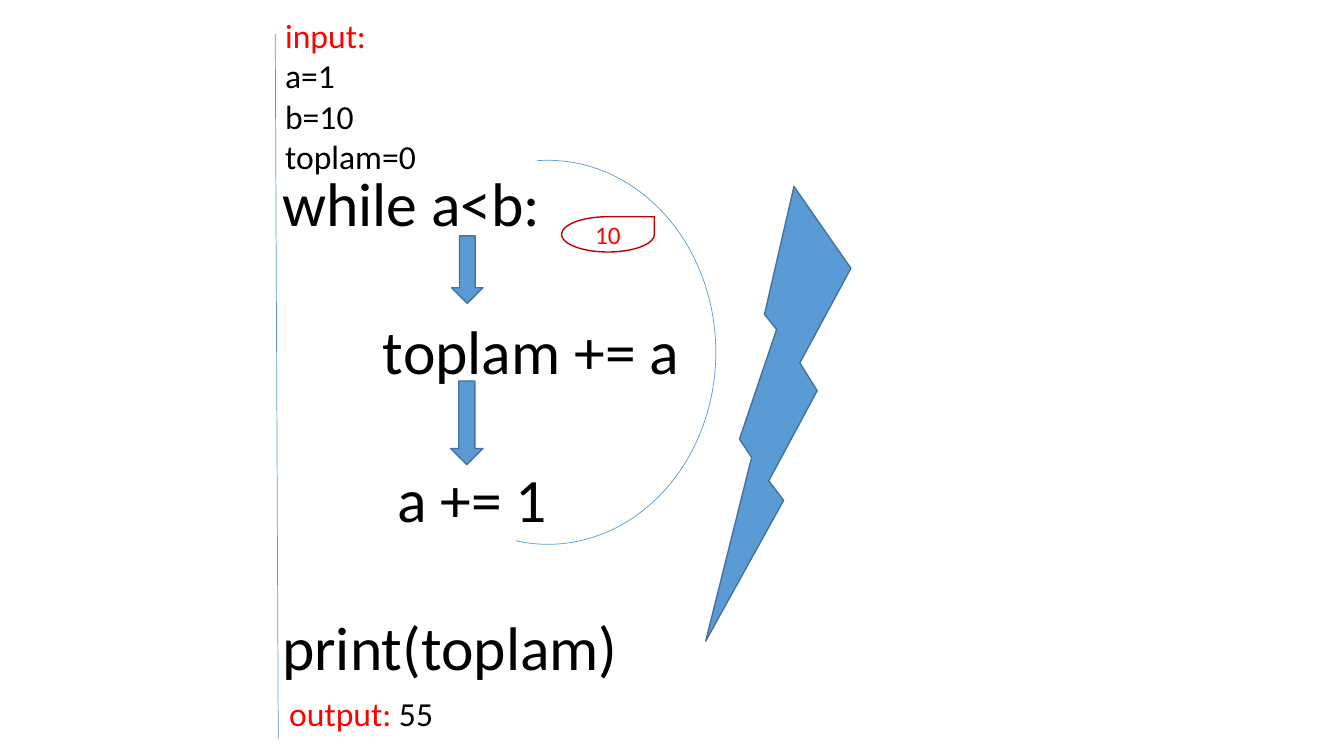
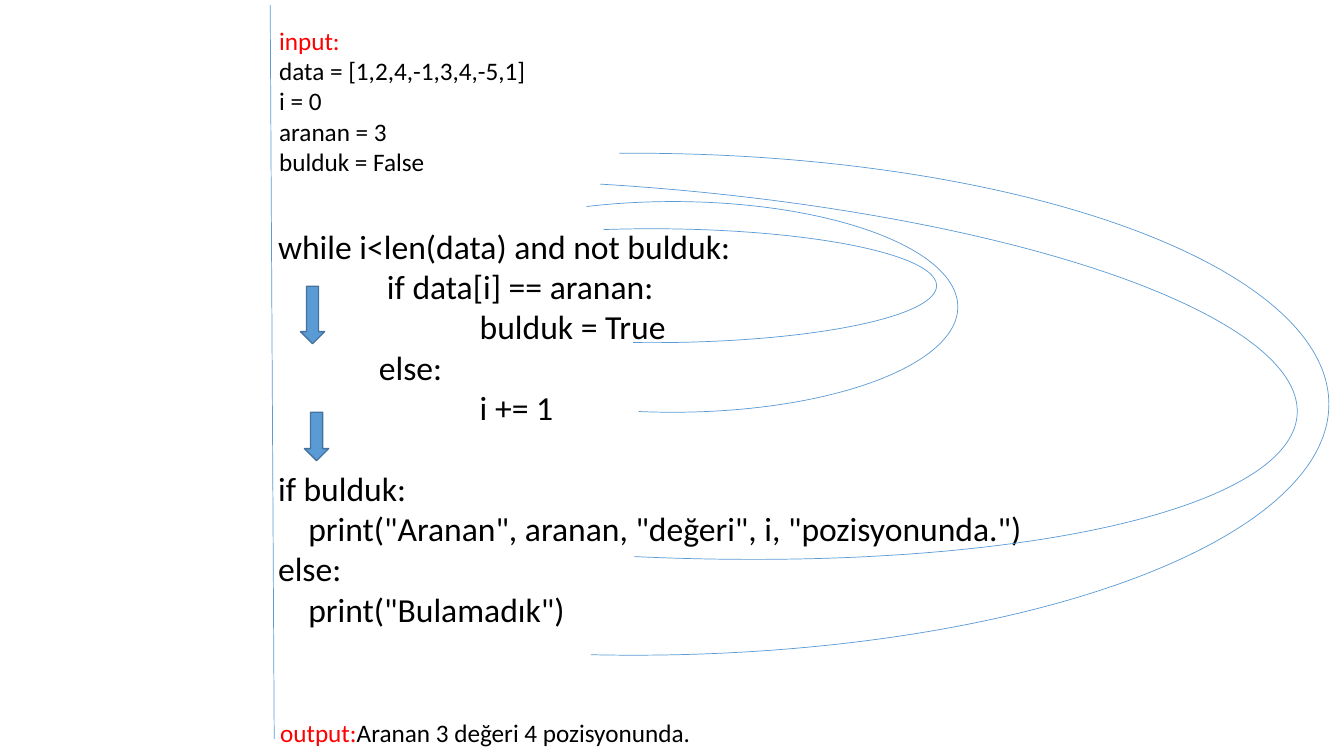
from dataclasses import dataclass

from lxml.etree import SubElement
from pptx import Presentation
from pptx.dml.color import RGBColor
from pptx.enum.shapes import MSO_CONNECTOR, MSO_SHAPE as Preset
from pptx.enum.text import MSO_ANCHOR, PP_ALIGN
from pptx.oxml.ns import qn
from pptx.shapes.autoshape import Shape
from pptx.slide import Slide
from pptx.text.text import TextFrame
from pptx.util import Inches, Pt

BLUE = RGBColor(0x5B, 0x9B, 0xD5)
DARK_BLUE = RGBColor(0x43, 0x73, 0x9E)
RED = RGBColor(0xFF, 0x00, 0x00)
DARK_RED = RGBColor(0xC0, 0x00, 0x00)
BLACK = RGBColor(0x00, 0x00, 0x00)
WHITE = RGBColor(0xFF, 0xFF, 0xFF)
FONT = "Calibri"
LINE_PITCH = 1.2


@dataclass(frozen=True)
class Area:
    """A rectangle on the page, in inches."""

    left: float
    top: float
    width: float
    height: float


@dataclass(frozen=True)
class CodeLine:
    """A line of code with its indent in inches and the empty lines above it."""

    text: str
    indent: float = 0
    lines_above: int = 0


@dataclass(frozen=True)
class FlowArc:
    """A curve that links two lines of code."""

    area: Area
    start: float
    end: float
    rotation: float = 0


@dataclass(frozen=True)
class Trace:
    """One program with its input, its output and its flow marks."""

    code: list[CodeLine]
    code_area: Area
    code_size: int
    inputs: list[str]
    input_area: Area
    output: str
    output_area: Area
    note_size: int
    margin_line: tuple[float, float, float, float]
    arcs: list[FlowArc]
    arrows: list[Area]


SUM_TRACE = Trace(
    code=[
        CodeLine("while a<b:"),
        CodeLine("toplam += a", 1, 1),
        CodeLine("a += 1", 1.14, 1),
        CodeLine("print(toplam)", 0, 1),
    ],
    code_area=Area(2.7, 1.59, 7.08, 5.28),
    code_size=44,
    inputs=["a=1", "b=10", "toplam=0"],
    input_area=Area(2.73, 0.1, 6.86, 2.12),
    output=" 55",
    output_area=Area(2.77, 6.83, 6.67, 0.5),
    note_size=24,
    margin_line=(2.73, 0.34, 2.76, 7.33),
    arcs=[FlowArc(Area(3.77, 1.59, 3.33, 3.81), 160.04, 59.81)],
    arrows=[Area(4.48, 2.34, 0.31, 0.67), Area(4.47, 3.78, 0.32, 0.83)],
)

SEARCH_TRACE = Trace(
    code=[
        CodeLine("while i<len(data) and not bulduk:"),
        CodeLine("if data[i] == aranan:", 1.08),
        CodeLine("bulduk = True", 2),
        CodeLine("else:", 1),
        CodeLine("i += 1", 2),
        CodeLine("if bulduk:", 0, 1),
        CodeLine('print("Aranan", aranan, "değeri", i, "pozisyonunda.")', 0.3),
        CodeLine("else:"),
        CodeLine('print("Bulamadık")', 0.3),
    ],
    code_area=Area(2.66, 2.19, 8.46, 4.14),
    code_size=24,
    inputs=["data = [1,2,4,-1,3,4,-5,1]", "i = 0", "aranan = 3", "bulduk = False"],
    input_area=Area(2.67, 0.2, 6.86, 1.62),
    output="Aranan 3 değeri 4 pozisyonunda.",
    output_area=Area(2.68, 7.07, 5, 0.4),
    note_size=18,
    margin_line=(2.68, 0.05, 2.72, 7.33),
    arcs=[
        FlowArc(Area(-0.61, 1.52, 13.79, 4.98), 160.04, 59.81),
        FlowArc(Area(-1, 1.83, 13.88, 3.67), 160.04, 45.32, 3.7),
        FlowArc(Area(3.64, 2.27, 5.65, 1.13), 137.59, 64.93),
        FlowArc(Area(3.85, 2, 5.65, 2.09), 137.59, 64.93),
    ],
    arrows=[Area(2.98, 2.84, 0.24, 0.57), Area(3.02, 4.09, 0.24, 0.48)],
)


def place(area: Area) -> tuple[Inches, Inches, Inches, Inches]:
    """Turn an area into lengths."""
    return Inches(area.left), Inches(area.top), Inches(area.width), Inches(area.height)


def add_span(para, text: str, size: int, color: RGBColor) -> None:
    """Append one formatted run."""
    span = para.add_run()
    span.text = text
    span.font.name = FONT
    span.font.size = Pt(size)
    span.font.color.rgb = color


def add_text_box(page: Slide, area: Area) -> TextFrame:
    """Add a wrapping text box and return its frame."""
    frame = page.shapes.add_textbox(*place(area)).text_frame
    frame.word_wrap = True
    return frame


def add_code(page: Slide, trace: Trace) -> None:
    """Write the program with its indents and gaps."""
    frame = add_text_box(page, trace.code_area)
    for index, line in enumerate(trace.code):
        para = frame.add_paragraph() if index else frame.paragraphs[0]
        para.space_before = Pt(line.lines_above * trace.code_size * LINE_PITCH)
        para._p.get_or_add_pPr().set("marL", str(Inches(line.indent)))
        add_span(para, line.text, trace.code_size, BLACK)


def add_notes_around_code(page: Slide, trace: Trace) -> None:
    """Write the input above and the output below the program."""
    frame = add_text_box(page, trace.input_area)
    add_span(frame.paragraphs[0], "input:", trace.note_size, RED)
    for text in trace.inputs:
        add_span(frame.add_paragraph(), text, trace.note_size, BLACK)
    para = add_text_box(page, trace.output_area).paragraphs[0]
    add_span(para, "output:", trace.note_size, RED)
    add_span(para, trace.output, trace.note_size, BLACK)


def add_preset(
    page: Slide,
    preset: Preset,
    area: Area,
    fill: RGBColor | None = BLUE,
    line: RGBColor = DARK_BLUE,
    width: float = 1,
) -> Shape:
    """Add a flat preset shape."""
    shape = page.shapes.add_shape(preset, *place(area))
    shape.shadow.inherit = False
    if fill is None:
        shape.fill.background()
    else:
        shape.fill.solid()
        shape.fill.fore_color.rgb = fill
    shape.line.color.rgb = line
    shape.line.width = Pt(width)
    return shape


def add_margin_line(page: Slide, ends: tuple[float, float, float, float]) -> None:
    """Draw the thin line left of the code."""
    line = page.shapes.add_connector(MSO_CONNECTOR.STRAIGHT, *map(Inches, ends))
    line.line.color.rgb = BLUE
    line.line.width = Pt(0.5)
    SubElement(line._element.spPr, qn("a:effectLst"))


def add_trace(deck, trace: Trace) -> Slide:
    """Add one page that shows a program and its flow."""
    page = deck.slides.add_slide(deck.slide_layouts[6])
    add_code(page, trace)
    add_notes_around_code(page, trace)
    for arc in trace.arcs:
        curve = add_preset(page, Preset.ARC, arc.area, None, BLUE, 0.5)
        curve.adjustments[0] = arc.start
        curve.adjustments[1] = arc.end
        curve.rotation = arc.rotation
    for area in trace.arrows:
        add_preset(page, Preset.DOWN_ARROW, area)
    add_margin_line(page, trace.margin_line)
    return page


def add_loop_marks(page: Slide) -> None:
    """Add the bolt and the drop with the loop limit."""
    bolt = add_preset(page, Preset.LIGHTNING_BOLT, Area(7, 1.85, 1.44, 4.51))
    bolt._element.spPr.xfrm.set("flipH", "1")
    drop = add_preset(page, Preset.TEAR, Area(5.57, 2.15, 0.92, 0.35), WHITE, DARK_RED)
    frame = drop.text_frame
    frame.vertical_anchor = MSO_ANCHOR.MIDDLE
    para = frame.paragraphs[0]
    para.alignment = PP_ALIGN.CENTER
    add_span(para, "10", 18, RED)


def main() -> None:
    """Build and save the deck."""
    deck = Presentation()
    deck.slide_width = Inches(13.33)
    deck.slide_height = Inches(7.5)
    add_loop_marks(add_trace(deck, SUM_TRACE))
    add_trace(deck, SEARCH_TRACE)
    deck.save("out.pptx")


if __name__ == "__main__":
    main()
